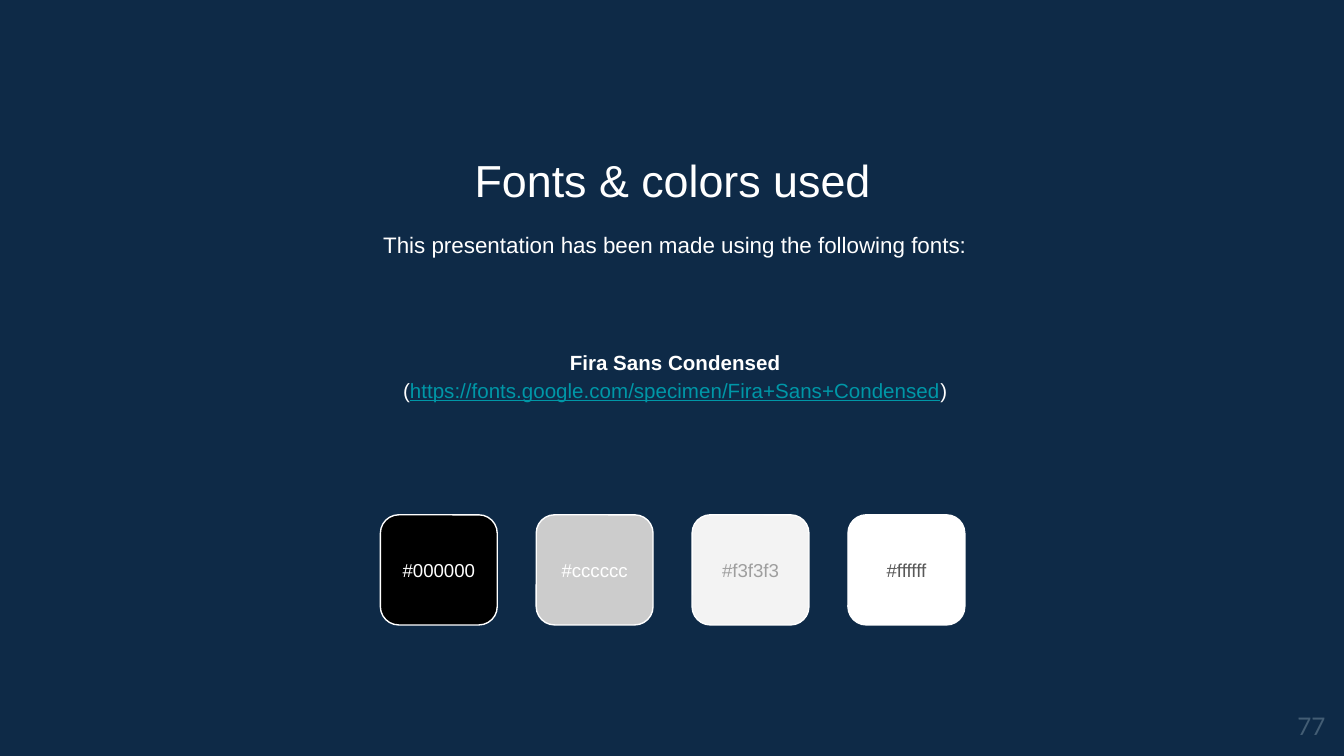
import pptx
import pptx.dml.color
import pptx.enum.shapes
import pptx.enum.text
import pptx.util

Pt = pptx.util.Pt
RGBColor = pptx.dml.color.RGBColor
Align = pptx.enum.text.PP_ALIGN
Anchor = pptx.enum.text.MSO_ANCHOR

NAVY = RGBColor(0x0E, 0x2A, 0x47)
WHITE = RGBColor(0xFF, 0xFF, 0xFF)
BLACK = RGBColor(0x00, 0x00, 0x00)
SILVER = RGBColor(0xCC, 0xCC, 0xCC)
PALE_GRAY = RGBColor(0xF3, 0xF3, 0xF3)
MID_GRAY = RGBColor(0x9E, 0x9E, 0x9E)
DARK_GRAY = RGBColor(0x59, 0x59, 0x59)
TEAL = RGBColor(0x00, 0x97, 0xA7)
SLATE = RGBColor(0x43, 0x5D, 0x74)

# Label, fill colour, text colour
SWATCHES = [
    ("#000000", BLACK, WHITE),
    ("#cccccc", SILVER, WHITE),
    ("#f3f3f3", PALE_GRAY, MID_GRAY),
    ("#ffffff", WHITE, DARK_GRAY),
]
SWATCH_LEFT, SWATCH_TOP, SWATCH_STEP = 203.8, 275.8, 83.5
SWATCH_WIDTH, SWATCH_HEIGHT = 62.6, 59
LABEL_HEIGHT = 34.6


def add_text(shapes, box, paragraphs, size, color=WHITE, name="Arial",
             align=Align.CENTER, anchor=Anchor.TOP, line_spacing=1.0):
    """Add a text box; each paragraph is a list of (text, font values)."""
    text_box = shapes.add_textbox(*map(Pt, box))
    frame = text_box.text_frame
    frame_values = {"word_wrap": True, "vertical_anchor": anchor}
    for side in ("left", "top", "right", "bottom"):
        frame_values[f"margin_{side}"] = Pt(7.2)
    for key, value in frame_values.items():
        setattr(frame, key, value)

    for index, runs in enumerate(paragraphs):
        paragraph = frame.add_paragraph() if index else frame.paragraphs[0]
        paragraph.alignment = align
        paragraph.line_spacing = line_spacing
        for text, changes in runs:
            run = paragraph.add_run()
            run.text = text
            values = {"name": name, "size": Pt(size), "color": color, **changes}
            run.font.color.rgb = values.pop("color")
            for key, value in values.items():
                setattr(run.font, key, value)


def add_swatch(shapes, left, label, fill_color, text_color):
    """Add a rounded colour sample with its hex code in the middle."""
    swatch = shapes.add_shape(
        pptx.enum.shapes.MSO_SHAPE.ROUNDED_RECTANGLE,
        Pt(left), Pt(SWATCH_TOP), Pt(SWATCH_WIDTH), Pt(SWATCH_HEIGHT))
    swatch.shadow.inherit = False
    swatch.fill.solid()
    swatch.fill.fore_color.rgb = fill_color
    swatch.line.color.rgb = WHITE
    swatch.line.width = Pt(0.75)

    label_top = SWATCH_TOP + (SWATCH_HEIGHT - LABEL_HEIGHT) / 2
    add_text(shapes, (left, label_top, SWATCH_WIDTH, LABEL_HEIGHT),
             [[(label, {})]], 10, text_color, anchor=Anchor.MIDDLE)


def main():
    presentation = pptx.Presentation()
    presentation.slide_width, presentation.slide_height = Pt(720), Pt(405)
    slide = presentation.slides.add_slide(presentation.slide_layouts[6])
    slide.background.fill.solid()
    slide.background.fill.fore_color.rgb = NAVY

    # Title and introduction
    add_text(slide.shapes, (82.8, 74.9, 555, 38.2),
             [[("Fonts & colors used", {})]], 24)
    add_text(slide.shapes, (84.2, 114.5, 555, 34.6),
             [[("This presentation has been made using the following fonts:", {})]],
             12, line_spacing=1.15)

    # Font name and address
    add_text(slide.shapes, (84.2, 151.2, 555, 98.6), [
        [("Fira Sans Condensed", {"bold": True})],
        [("(", {}),
         ("https://fonts.google.com/specimen/Fira+Sans+Condensed",
          {"color": TEAL, "underline": True}),
         (")", {})],
    ], 11, anchor=Anchor.MIDDLE, line_spacing=1.15)

    # Colour swatches
    palette = slide.shapes.add_group_shape()
    for index, swatch in enumerate(SWATCHES):
        add_swatch(palette.shapes, SWATCH_LEFT + index * SWATCH_STEP, *swatch)

    # Page number
    add_text(slide.shapes, (673.9, 373.7, 43.2, 31), [[("77", {})]],
             13, SLATE, "Lato", Align.RIGHT)

    presentation.save("out.pptx")


if __name__ == "__main__":
    main()
